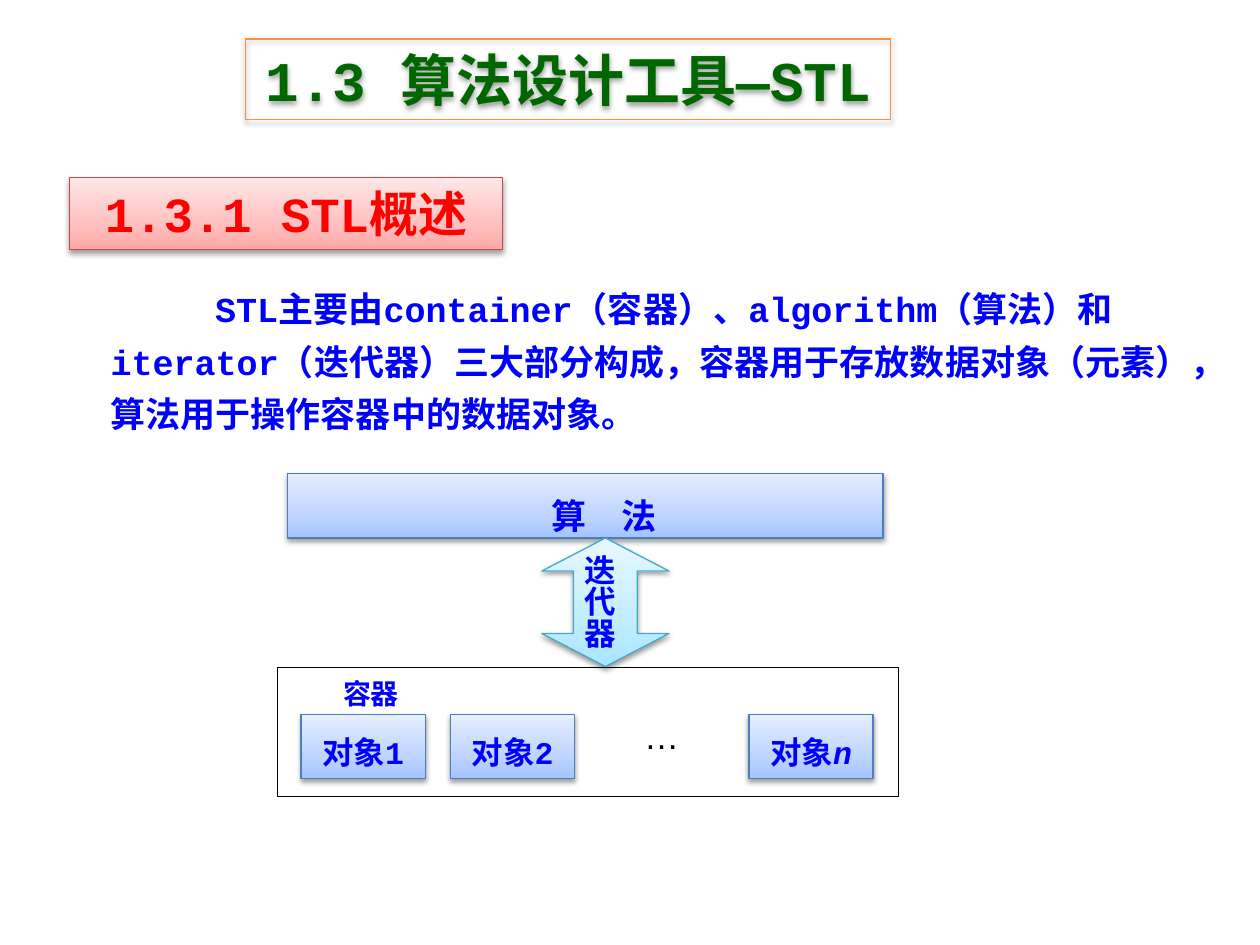
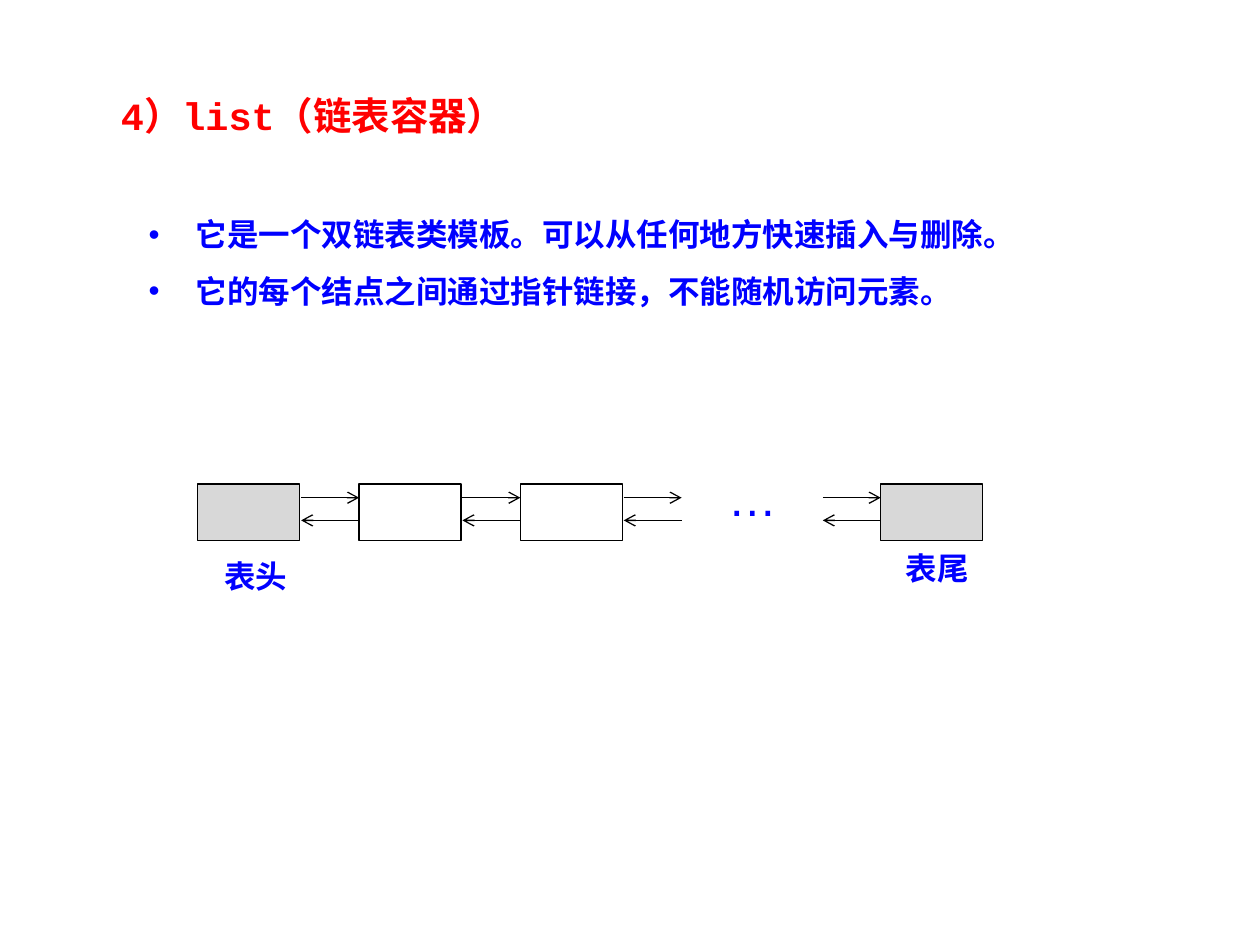
from lxml.etree import SubElement
from pptx import Presentation
from pptx.dml.color import RGBColor
from pptx.enum.lang import MSO_LANGUAGE_ID
from pptx.enum.shapes import MSO_CONNECTOR, MSO_SHAPE
from pptx.enum.text import MSO_ANCHOR, MSO_AUTO_SIZE, PP_ALIGN
from pptx.oxml.ns import qn
from pptx.util import Inches, Pt

WIDTH, HEIGHT = Inches(10), Inches(7.5)
COL, ROW = WIDTH / 100, HEIGHT / 75
MONO, SANS, HAN = "Courier New", "Arial", "Noto Sans CJK SC"
INK = {
    "green": "006600", "red": "FF0000", "blue": "0000FF",
    "black": "000000", "white": "FFFFFF", "grey": "D8D8D8",
    "orange": "F69240", "brick": "BF4C48", "steel": "4B7EBC", "teal": "46AAC5",
}
FADE = {
    "rose": ("FFA6A5", "FFC0BF", "FFE7E7"),
    "sky": ("A4C4FF", "BFD4FF", "E6EEFF"),
    "aqua": ("A7E6FF", "C1EDFF", "E7F8FF"),
}
STOPS = (0, 35000, 100000)


def tint(name):
    return RGBColor.from_string(INK[name])


def place(shape, x, y, w, h):
    shape.left, shape.top = round(x * COL), round(y * ROW)
    shape.width, shape.height = round(w * COL), round(h * ROW)


def paint(shape, fill):
    if fill in FADE:
        shape.fill.gradient()
        shape.fill.gradient_angle = 90
        stops = next(shape.element.spPr.iter(qn("a:gsLst")))
        stops.clear()
        for pos, tone in zip(STOPS, FADE[fill]):
            stop = SubElement(stops, qn("a:gs"), pos=str(pos))
            SubElement(stop, qn("a:srgbClr"), val=tone)
    elif fill:
        shape.fill.solid()
        shape.fill.fore_color.rgb = tint(fill)
    else:
        shape.fill.background()


def edge(shape, line):
    if line:
        shape.line.color.rgb = tint(line)
        shape.line.width = Pt(0.75)
    else:
        shape.line.fill.background()


def shade(shape):
    shape.shadow.inherit = False
    glow = SubElement(
        shape.element.spPr.find(qn("a:effectLst")), qn("a:outerShdw"),
        blurRad=str(Pt(3.1)), dist=str(Pt(1.6)), dir="5400000", rotWithShape="0")
    black = SubElement(glow, qn("a:srgbClr"), val=INK["black"])
    SubElement(black, qn("a:alpha"), val="38000")


def adjust(shape, **shares):
    guides = next(shape.element.spPr.iter(qn("a:avLst")))
    guides.clear()
    for name, share in shares.items():
        SubElement(guides, qn("a:gd"), name=name,
                   fmla=f"val {round(share * 100000)}")


def style(run, size, color, face=MONO, bold=True):
    font = run.font
    font.size, font.bold, font.name = Pt(size), bold, face
    font.color.rgb = tint(color)
    font.language_id = MSO_LANGUAGE_ID.SIMPLIFIED_CHINESE
    latin = run._r.rPr.find(qn("a:latin"))
    latin.addnext(latin.makeelement(qn("a:ea"), {"typeface": face}))


def write(shape, lines, size, color, face=MONO, bold=True,
          align=PP_ALIGN.CENTER, space=1.0, inset=(0.1, 0.05, 0.1, 0.05)):
    frame = shape.text_frame
    frame.text = lines
    frame.word_wrap = True
    frame.auto_size = MSO_AUTO_SIZE.NONE
    frame.vertical_anchor = MSO_ANCHOR.TOP
    (frame.margin_left, frame.margin_top,
     frame.margin_right, frame.margin_bottom) = map(Inches, inset)
    for para in frame.paragraphs:
        para.alignment, para.line_spacing = align, space
        para.space_before = Pt(0)
        for run in para.runs:
            style(run, size, color, face, bold)
    return frame.paragraphs[0]


def indent(para, size):
    para._p.get_or_add_pPr().set("indent", str(Inches(size)))


def block(slide, at, fill="white", line=None, kind=MSO_SHAPE.RECTANGLE):
    shape = slide.shapes.add_shape(kind, 0, 0, 0, 0)
    place(shape, *at)
    paint(shape, fill)
    edge(shape, line)
    if fill in FADE:
        shade(shape)
    else:
        shape.shadow.inherit = False
    return shape


def label(shape, text, size=18, color="blue", **look):
    return write(shape, text, size, color, inset=(0, 0, 0, 0), **look)


def arrow(slide, start, end, y):
    link = slide.shapes.add_connector(
        MSO_CONNECTOR.STRAIGHT, round(start * COL), round(y * ROW),
        round(end * COL), round(y * ROW))
    edge(link, "black")
    SubElement(link.line._get_or_add_ln(), qn("a:tailEnd"), type="arrow")
    SubElement(link._element.spPr, qn("a:effectLst"))


def title(slide, at, text, size, color, **look):
    head = slide.shapes.title
    place(head, *at)
    return head, write(head, text, size, color, **look)


def stack(slide):
    block(slide, (22, 53, 49.3, 10.2), line="black")
    top = block(slide, (22.8, 37.6, 47.3, 5.1), "sky", "steel")
    indent(label(top, "算　法", 20, space=1.5), 0.3)
    for step, text in enumerate(("对象1", "对象2", "…", "对象")):
        at = (23.9 + 11.85 * step, 56.7, 9.85, 5.1)
        if text == "…":
            label(block(slide, at), text, 20, "black", face=SANS, bold=False)
        else:
            para = label(block(slide, at, "sky", "steel"), text, space=1.5)
    tail = para.add_run()
    tail.text = "n"
    style(tail, 18, "blue")
    tail.font.italic = True
    both = block(slide, (43, 42.7, 10.1, 10.2), "aqua", "teal",
                 MSO_SHAPE.UP_DOWN_ARROW)
    adjust(both, adj1=0.5, adj2=0.26)
    label(both, "迭代器", space=1.5)
    both.text_frame._txBody.bodyPr.set("vert", "eaVert")
    label(block(slide, (26.6, 53.7, 5.7, 2.5)), "容器", 16)


def chain(slide):
    wide, gap, pitch, last = 8.1, 4.6, 12.8, 69.9
    cells = [15.7 + pitch * step for step in range(3)] + [last]
    for x in cells:
        ends = x in (cells[0], last)
        block(slide, (x, 38.4, wide, 4.5), "grey" if ends else "white", "black")
    for x in [cell + pitch - gap for cell in cells[:3]] + [last - gap]:
        arrow(slide, x, x + gap, 39.5)
        arrow(slide, x + gap, x, 41.3)
    for x, y, text in ((16.7, 44.2, "表头"), (70.8, 43.6, "表尾")):
        label(block(slide, (x, y, 7.2, 3.5)), text, face=HAN)
    dots = block(slide, (54.6, 37.1, 7.2, 5.8))
    indent(label(dots, "…", 28, face=SANS, bold=False), 0.3)


def tools(deck):
    slide = deck.slides.add_slide(deck.slide_layouts[5])
    head, para = title(slide, (19.5, 3.1, 51.2, 6.4),
                       "1.3 算法设计工具―STL ", 32, "green")
    para.space_before = Pt(5)
    paint(head, None)
    edge(head, "orange")
    shade(head)
    part = block(slide, (5.5, 14.1, 34.4, 5.7), "rose", "brick")
    write(part, "1.3.1 STL概述", 28, "red")
    note = slide.shapes.add_textbox(0, 0, 0, 0)
    place(note, 7.8, 21.5, 88.3, 13.3)
    para = write(
        note, "STL主要由container（容器）、algorithm（算法）和iterator（迭代器）"
        "三大部分构成，容器用于存放数据对象（元素），算法用于操作容器中的数据对象。",
        20, "blue", align=PP_ALIGN.LEFT, space=Pt(30))
    indent(para, 0.83)
    stack(slide)


def lists(deck):
    slide = deck.slides.add_slide(deck.slide_layouts[1])
    title(slide, (8.6, 5, 86.7, 5.9), "4）list（链表容器）", 22, "red",
          align=PP_ALIGN.LEFT, space=1.5)
    body = slide.placeholders[1]
    place(body, 10.2, 14.8, 78.1, 11.5)
    paint(body, "white")
    write(body, "它是一个双链表类模板。可以从任何地方快速插入与删除。\n"
          "它的每个结点之间通过指针链接，不能随机访问元素。", 18, "blue",
          align=PP_ALIGN.LEFT, space=1.5, inset=(0.16, 0.08, 0.1, 0.16))
    chain(slide)


def main():
    deck = Presentation()
    deck.slide_width, deck.slide_height = WIDTH, HEIGHT
    tools(deck)
    lists(deck)
    deck.save("out.pptx")


if __name__ == "__main__":
    main()
